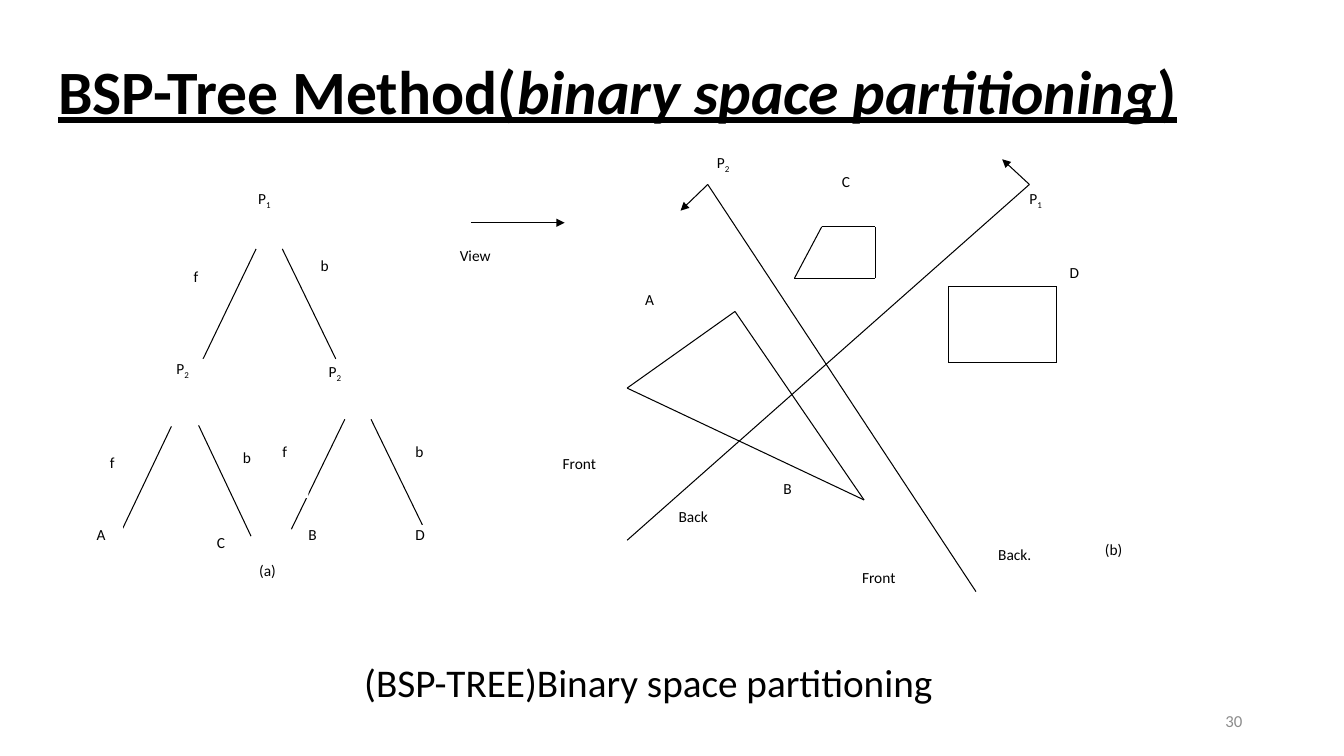
from itertools import pairwise
from typing import NamedTuple

from lxml.etree import SubElement
from pptx import Presentation
from pptx.dml.color import RGBColor
from pptx.enum.shapes import MSO_CONNECTOR
from pptx.enum.text import MSO_ANCHOR as Anchor, PP_ALIGN as Align
from pptx.oxml.ns import qn
from pptx.util import Inches, Pt

BLACK = RGBColor(0x00, 0x00, 0x00)
WHITE = RGBColor(0xFF, 0xFF, 0xFF)
GREY = RGBColor(0x8C, 0x8C, 0x8C)
FONT = "Calibri"


class Point(NamedTuple):
    x: float
    y: float


class Segment(NamedTuple):
    start: Point
    end: Point
    arrow: bool = False


class Label(NamedTuple):
    text: str
    left: float
    top: float
    width: float = 0.26
    height: float = 0.5
    subscript: str = ""


TREE_BRANCHES = [
    Segment(Point(2.54, 2.47), Point(2.01, 3.57)),
    Segment(Point(2.8, 2.47), Point(3.33, 3.56)),
    Segment(Point(1.7, 4.23), Point(1.18, 5.32)),
    Segment(Point(1.97, 4.22), Point(2.49, 5.32)),
    Segment(Point(3.42, 4.16), Point(2.89, 5.25)),
    Segment(Point(3.68, 4.16), Point(4.21, 5.25)),
]

TREE_LABELS = [
    Label("P", 2.56, 1.88, 0.53, 0.55, "1"),
    Label("b", 3.18, 2.54, height=0.55),
    Label("f", 1.92, 2.65, height=0.43),
    Label("P", 1.75, 3.56, 0.53, 0.55, "2"),
    Label("f", 1.09, 4.5, height=0.39),
    Label("b", 2.41, 4.45, height=0.55),
    Label("P", 3.26, 3.59, 0.53, 0.55, "2"),
    Label("f", 2.8, 4.39, height=0.55),
    Label("b", 4.12, 4.39, height=0.55),
    Label("B", 3.06, 5.21, height=0.55),
    Label("D", 4.12, 5.21, height=0.55),
    Label("A", 0.96, 5.21, height=0.55),
    Label("C", 2.15, 5.29, 0.31, 0.55),
    Label("(a)", 2.57, 5.57, 0.57, 0.55),
]

SCENE_LABELS = [
    Label("P", 7.11, 1.52, 0.53, subscript="2"),
    Label("P", 10.21, 1.88, 0.53, subscript="1"),
    Label("Back.", 9.9, 5.41, 0.78),
    Label("A", 6.4, 2.88),
    Label("B", 7.77, 4.75),
    Label("Back", 6.73, 5.03, 1.03, 0.59),
    Label("Front", 8.55, 5.64, 0.86),
    Label("(b)", 10.96, 5.36, 0.53),
    Label("D", 10.61, 2.61),
    Label("Front", 5.58, 4.51, 1.04, 0.51),
    Label("C", 8.35, 1.71, height=0.44),
    Label("View", 4.56, 2.44, 1.01, 0.57),
]

PLANE_1_TOP = Point(10.21, 1.83)
PLANE_2_TOP = Point(7.02, 1.83)
SCENE_LINES = [
    Segment(PLANE_2_TOP, Point(9.68, 5.87)),
    Segment(PLANE_1_TOP, Point(6.22, 5.36)),
    Segment(PLANE_1_TOP, Point(9.94, 1.58), arrow=True),
    Segment(PLANE_2_TOP, Point(6.75, 2.09), arrow=True),
    Segment(Point(4.67, 2.21), Point(5.6, 2.21), arrow=True),
]

TRIANGLE = [Point(6.22, 3.85), Point(8.57, 4.96), Point(7.29, 3.09)]
TRAPEZOID = [Point(8.15, 2.25), Point(7.88, 2.76), Point(8.68, 2.76), Point(8.68, 2.25)]
RECTANGLE = [Point(9.41, 2.84), Point(9.41, 3.6), Point(10.48, 3.6), Point(10.48, 2.84)]


def add_text_box(page, left: float, top: float, width: float, height: float,
                 *, align=Align.LEFT, anchor=Anchor.TOP):
    """Add a wrapping text box; return it with its first paragraph."""
    box = page.shapes.add_textbox(Inches(left), Inches(top), Inches(width), Inches(height))
    box.text_frame.word_wrap = True
    box.text_frame.vertical_anchor = anchor
    para = box.text_frame.paragraphs[0]
    para.alignment = align
    return box, para


def add_span(para, text: str, *, size: float, color: RGBColor = BLACK, bold: bool = False,
             italic: bool = False, underline: bool = False, subscript: bool = False) -> None:
    span = para.add_run()
    span.text = text
    font = span.font
    font.name, font.size, font.color.rgb = FONT, Pt(size), color
    font.bold, font.italic, font.underline = bold, italic, underline
    if subscript:
        span._r.get_or_add_rPr().set("baseline", "-25000")


def draw_label(page, label: Label) -> None:
    box, para = add_text_box(page, label.left, label.top, label.width, label.height)
    box.fill.solid()
    box.fill.fore_color.rgb = WHITE
    frame = box.text_frame
    frame.margin_left = frame.margin_right = frame.margin_top = frame.margin_bottom = 0
    para.space_after = Pt(10)
    add_span(para, label.text, size=11)
    if label.subscript:
        add_span(para, label.subscript, size=11, subscript=True)


def draw_segment(page, segment: Segment) -> None:
    start, end, arrow = segment
    line = page.shapes.add_connector(MSO_CONNECTOR.STRAIGHT, Inches(start.x), Inches(start.y),
                                     Inches(end.x), Inches(end.y))
    line.line.color.rgb = BLACK
    line.line.width = Pt(0.75)
    if arrow:
        SubElement(line.line._get_or_add_ln(), qn("a:tailEnd"), type="triangle")
    SubElement(line._element.spPr, qn("a:effectLst"))


def draw_polygon(page, corners: list[Point]) -> None:
    for start, end in pairwise([*corners, corners[0]]):
        draw_segment(page, Segment(start, end))


def main() -> None:
    deck = Presentation()
    deck.slide_width, deck.slide_height = Inches(13.33), Inches(7.5)
    page = deck.slides.add_slide(deck.slide_layouts[6])

    _, title = add_text_box(page, 0.48, 0.21, 11.5, 1.45, anchor=Anchor.MIDDLE)
    title.line_spacing = 0.9
    for text, italic in [("BSP-Tree Method(", False), ("binary space partitioning", True),
                         (")", False)]:
        add_span(title, text, size=44, bold=True, italic=italic, underline=True)

    _, number = add_text_box(page, 9.42, 6.95, 3, 0.4, align=Align.RIGHT, anchor=Anchor.MIDDLE)
    add_span(number, "30", size=12, color=GREY)

    for branch in TREE_BRANCHES:
        draw_segment(page, branch)
    for label in TREE_LABELS + SCENE_LABELS:
        draw_label(page, label)
    for line in SCENE_LINES:
        draw_segment(page, line)
    for corners in (TRAPEZOID, TRIANGLE, RECTANGLE):
        draw_polygon(page, corners)

    _, caption = add_text_box(page, 0.96, 6.48, 10.94, 0.57, align=Align.CENTER)
    add_span(caption, "(BSP-TREE)Binary space partitioning", size=28)

    deck.save("out.pptx")


if __name__ == "__main__":
    main()
